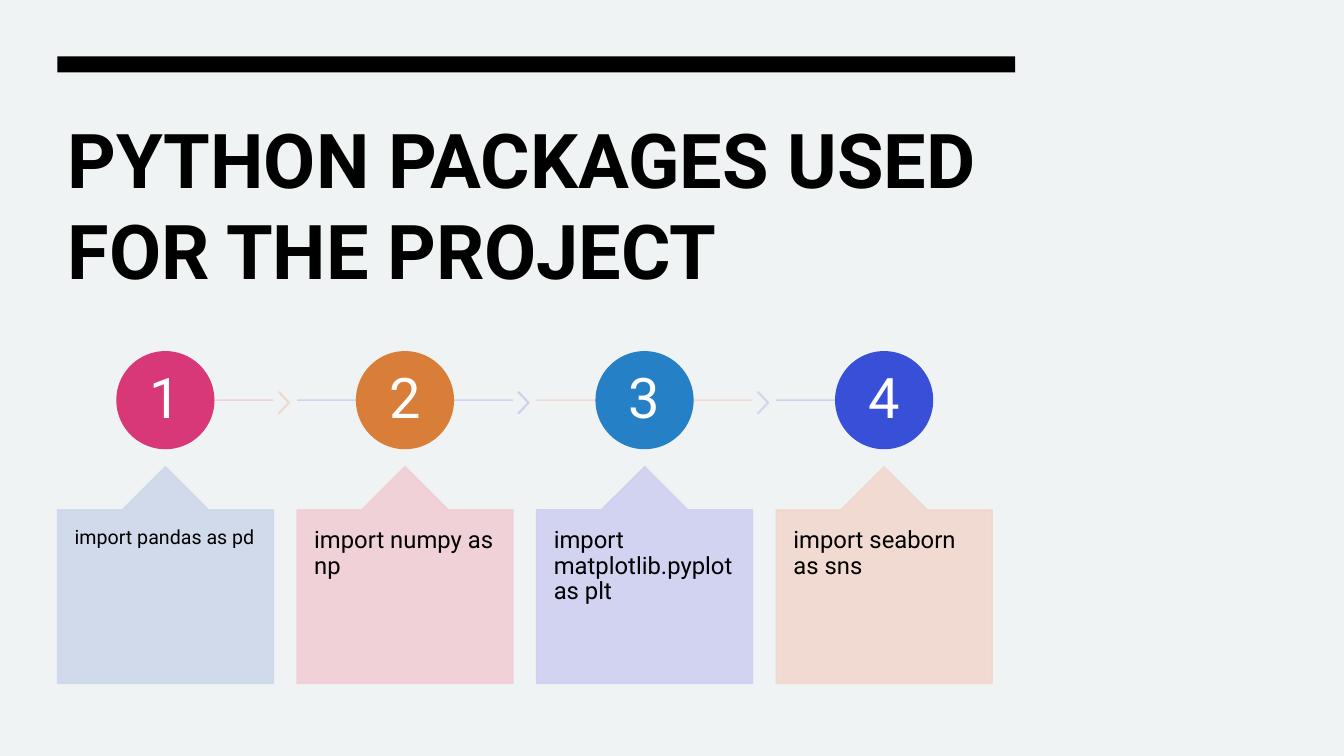
import pptx
import pptx.util
import pptx.dml.color
import pptx.enum.shapes
import pptx.enum.text
import pptx.oxml

RGB = pptx.dml.color.RGBColor
SHAPE = pptx.enum.shapes.MSO_SHAPE
ALIGN = pptx.enum.text.PP_ALIGN
ANCHOR = pptx.enum.text.MSO_ANCHOR
INCH = pptx.util.Inches

PAPER = RGB(0xF0, 0xF3, 0xF3)
BLACK = RGB(0, 0, 0)
WHITE = RGB(0xFF, 0xFF, 0xFF)
PINK = RGB(0xD8, 0x38, 0x77)
ORANGE = RGB(0xD8, 0x7E, 0x38)
BLUE = RGB(0x26, 0x80, 0xC6)
INDIGO = RGB(0x38, 0x4F, 0xD8)
SKY = RGB(0xCD, 0xD8, 0xEA)
ROSE = RGB(0xF0, 0xCE, 0xD6)
LILAC = RGB(0xCE, 0xD0, 0xF0)
PEACH = RGB(0xF0, 0xD8, 0xCE)
MAUVE = RGB(0xD1, 0xCD, 0xEB)

STEPS = [
    ("import pandas as pd", 14, PINK, SKY, ROSE, PEACH),
    ("import numpy as np", 17, ORANGE, ROSE, LILAC, MAUVE),
    ("import matplotlib.pyplot as plt", 17, BLUE, LILAC, PEACH, SKY),
    ("import seaborn as sns", 17, INDIGO, PEACH, MAUVE, None),
]
NS = "http://schemas.openxmlformats.org/drawingml/2006/main"


def fade(shape):
    """Make every colour of the shape 90 % opaque."""
    for color in shape._element.spPr.iter("{%s}srgbClr" % NS):
        color.append(pptx.oxml.parse_xml(f'<a:alpha xmlns:a="{NS}" val="90000"/>'))


def write(shape, text, size=17, color=BLACK, bold=False, align=ALIGN.LEFT,
          anchor=ANCHOR.TOP, pad=(0.1, 0.05), space=0.9):
    """Write one formatted paragraph into the shape."""
    frame = shape.text_frame
    frame.word_wrap = True
    frame.auto_size = pptx.enum.text.MSO_AUTO_SIZE.NONE
    frame.vertical_anchor = anchor
    frame.margin_left = frame.margin_right = INCH(pad[0])
    frame.margin_top = frame.margin_bottom = INCH(pad[1])
    para = frame.paragraphs[0]
    para.alignment, para.line_spacing = align, space
    run = para.add_run()
    run.text = text
    font = run.font
    font.name, font.size, font.bold = "Roboto", pptx.util.Pt(size), bold
    font.color.rgb = color


def draw(slide, kind, box, color, edge=True):
    """Add a flat preset shape in one colour."""
    shape = slide.shapes.add_shape(kind, *map(INCH, box))
    shape.shadow.inherit = False
    shape.fill.solid()
    shape.fill.fore_color.rgb = color
    if edge:
        shape.line.color.rgb = color
        shape.line.width = pptx.util.Pt(1)
    else:
        shape.line.fill.background()
    return shape


def rule(slide, start, end, y, color):
    """Add a thin level line."""
    line = slide.shapes.add_connector(pptx.enum.shapes.MSO_CONNECTOR.STRAIGHT,
                                      INCH(start), INCH(y), INCH(end), INCH(y))
    line.line.color.rgb = color
    line.line.width = pptx.util.Pt(1)
    line._element.spPr.append(pptx.oxml.parse_xml(f'<a:effectLst xmlns:a="{NS}"/>'))
    fade(line)


def head(slide, box):
    """Place the black bar and the title in the box."""
    left, top, width, height = box
    title = slide.shapes.title
    title.left, title.top = INCH(left), INCH(top + 0.51)
    title.width, title.height = INCH(width), INCH(height - 0.51)
    write(title, "PYTHON PACKAGES USED FOR THE PROJECT", size=54, bold=True, space=1.0)
    draw(slide, SHAPE.RECTANGLE, (left, top, width, 0.16), BLACK, edge=False)


def step(slide, box, order, data):
    """Place one numbered step with its line, circle and callout."""
    left, top, width, height = box
    text, size, dark, light, stroke, arrow = data
    ball = 0.96
    mid, axis = left + width / 2, top + ball / 2
    rule(slide, mid if order == 1 else left,
         left + width if arrow else mid, axis, stroke)
    if arrow:
        mark = draw(slide, SHAPE.CHEVRON, (left + width + 0.05, axis - 0.08, 0.11, 0.21), arrow)
        mark.adjustments[0] = 0.9
        fade(mark)
    disc = draw(slide, SHAPE.OVAL, (mid - ball / 2, top, ball, ball), dark)
    write(disc, str(order), size=40, color=WHITE, align=ALIGN.CENTER,
          anchor=ANCHOR.MIDDLE, pad=(0.04, 0.04))
    card = draw(slide, SHAPE.UP_ARROW_CALLOUT, (left, top + 1.14, width, height - 1.14), light)
    for index, value in enumerate((0.5, 0.2, 0.2, 1)):
        card.adjustments[index] = value
    fade(card)
    write(card, text, size=size, pad=(0.17, 0.18))


def flow(slide, box):
    """Place the steps in equal columns of the box."""
    left, top, width, height = box
    gap = 0.235
    col = (width + gap) / len(STEPS)
    for index, data in enumerate(STEPS):
        step(slide, (left + index * col, top, col - gap, height), index + 1, data)


def main():
    """Build and save the slide."""
    deck = pptx.Presentation()
    deck.slide_width, deck.slide_height = INCH(13.33), INCH(7.5)
    slide = deck.slides.add_slide(deck.slide_layouts[5])
    slide.background.fill.solid()
    slide.background.fill.fore_color.rgb = PAPER
    head(slide, (0.57, 0.56, 9.5, 2.63))
    flow(slide, (0.57, 3.49, 9.27, 3.29))
    deck.save("out.pptx")


if __name__ == "__main__":
    main()
